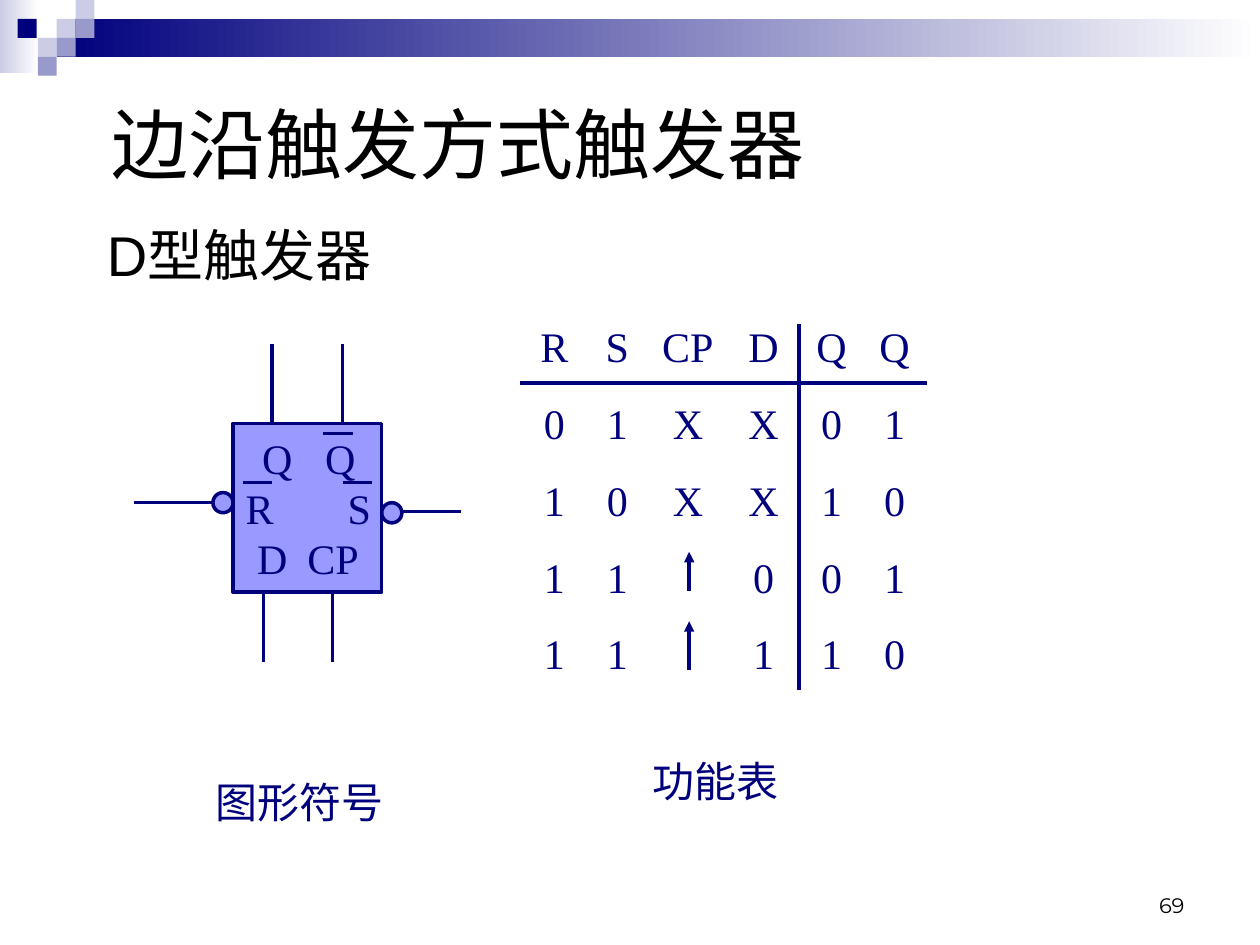
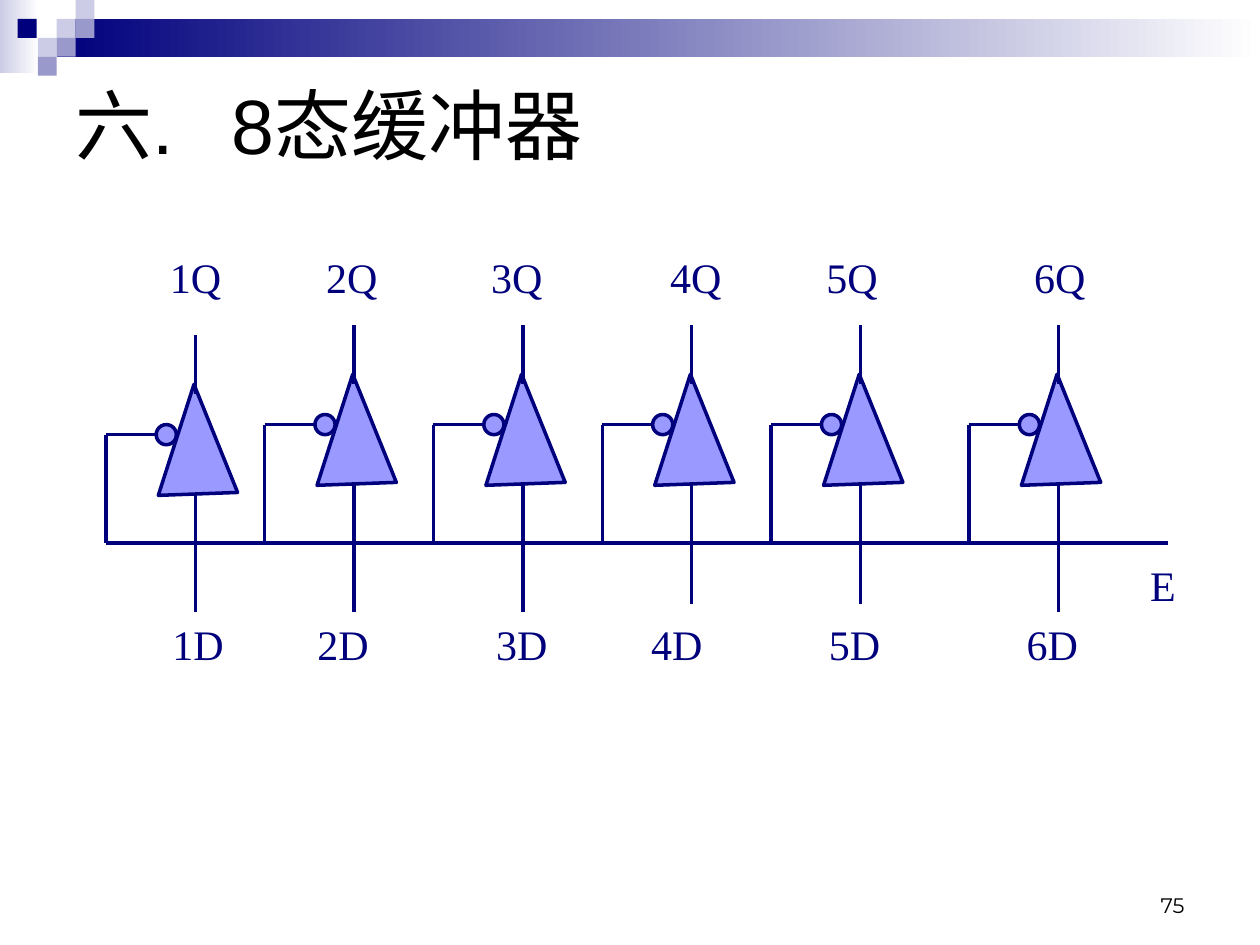
from dataclasses import dataclass

from lxml import etree
from pptx import Presentation
from pptx.dml.color import RGBColor
from pptx.enum import shapes, text
from pptx.oxml import ns
from pptx.util import Inches, Pt

NAVY, LILAC = "00007D", "9999FF"
PALE, MID, WHITE, BLACK = "CCCCE6", "9999CC", "FFFFFF", "000000"
SERIF, SANS, NUMBER_FONT = "Times New Roman", "Arial", "Montserrat"
RECTANGLE = shapes.MSO_SHAPE.RECTANGLE
OVAL = shapes.MSO_SHAPE.OVAL
MERGE = shapes.MSO_SHAPE.FLOWCHART_MERGE
LEFT, CENTER, RIGHT = text.PP_ALIGN.LEFT, text.PP_ALIGN.CENTER, text.PP_ALIGN.RIGHT
TOP, MIDDLE, BOTTOM = text.MSO_ANCHOR.TOP, text.MSO_ANCHOR.MIDDLE, text.MSO_ANCHOR.BOTTOM
BUBBLE = 0.16


@dataclass(frozen=True)
class Box:
    left: float
    top: float
    width: float
    height: float

    def lengths(self) -> list:
        return [Inches(v) for v in (self.left, self.top, self.width, self.height)]


@dataclass(frozen=True)
class Style:
    font: str = SERIF
    size: int = 24
    color: str = NAVY
    align: int = LEFT
    anchor: int = TOP


@dataclass(frozen=True)
class Line:
    x1: float
    y1: float
    x2: float
    y2: float
    arrow: bool = False


@dataclass(frozen=True)
class Buffer:
    x: float
    drop: float = 0
    input_end: float = 4.86


LABEL = Style()
TITLE = Style(SANS, 44, BLACK, anchor=MIDDLE)
SUBTITLE = Style(SANS, 32, BLACK)
PAGE_NUMBER = Style(NUMBER_FONT, 12, BLACK, RIGHT, BOTTOM)
PIN = Style(anchor=MIDDLE)
CELL = Style(align=CENTER, anchor=MIDDLE)

BANDS = [(Box(0, 0, 0.31, 0.58), PALE), (Box(0.45, 0.15, 9.55, 0.3), NAVY)]
SQUARES = [
    (0.45, 0.15, PALE), (0.6, 0, PALE), (0.6, 0.15, MID), (0.3, 0.3, PALE),
    (0.14, 0.15, NAVY), (0.45, 0.3, MID), (0.3, 0.45, MID),
]

PIN_ROWS = [("Q", 0.23, "Q", 0.73), ("R", 0.1, "S", 0.91), ("D", 0.19, "CP", 0.59)]
SYMBOL_LINES = [
    *[Line(x, 4.69, x, 5.25) for x in (2.09, 2.64)],
    *[Line(x, 2.73, x, 3.36) for x in (2.16, 2.72)],
    Line(1.06, 3.99, 1.69, 3.99),
    Line(3.19, 4.06, 3.66, 4.06),
    Line(2.56, 3.44, 2.8, 3.44),
    *[Line(x, 3.83, x + 0.23, 3.83) for x in (1.93, 2.72)],
]
FUNCTION_ROWS = [
    ("R", "S", "CP", "D", "Q", "Q"),
    ("0", "1", "X", "X", "0", "1"),
    ("1", "0", "X", "X", "1", "0"),
    ("1", "1", "", "0", "0", "1"),
    ("1", "1", "", "1", "1", "0"),
]
COLUMN_WIDTHS = [0.5, 0.5, 0.62, 0.58, 0.5, 0.5]
ROW_HEIGHT = 0.61
TABLE_LINES = [
    Line(5.47, 4.69, 5.47, 4.38, True),
    Line(5.47, 5.32, 5.47, 4.93, True),
    Line(4.13, 3.04, 7.36, 3.04),
    Line(6.34, 2.57, 6.34, 5.48),
]

BUS_Y = 4.31
BUFFERS = [
    Buffer(1.55, drop=0.08), Buffer(2.81), Buffer(4.15),
    Buffer(5.49, input_end=4.79), Buffer(6.83, input_end=4.79), Buffer(8.4),
]
INPUT_STOPS = [0.51, 1.66, 3.08, 4.31, 5.72, 7.29]
OUTPUT_STOPS = [0.17, 1.41, 2.72, 4.14, 5.38, 7.03]


def rgb(value: str) -> RGBColor:
    return RGBColor.from_string(value)


def add_stops(paragraph, stops: list[float]) -> None:
    tab_list = etree.SubElement(paragraph._p.get_or_add_pPr(), ns.qn("a:tabLst"))
    for stop in stops:
        etree.SubElement(tab_list, ns.qn("a:tab"), pos=str(Inches(stop)), algn="l")


def format_text(text_frame, style: Style) -> None:
    for paragraph in text_frame.paragraphs:
        paragraph.alignment = style.align
        for run in paragraph.runs:
            run.font.name = style.font
            run.font.size = Pt(style.size)
            run.font.color.rgb = rgb(style.color)


def add_text(slide, box: Box, content: str, style: Style, stops: list[float] | None = None) -> None:
    text_frame = slide.shapes.add_textbox(*box.lengths()).text_frame
    text_frame.word_wrap = True
    text_frame.vertical_anchor = style.anchor
    text_frame.text = content
    if stops:
        add_stops(text_frame.paragraphs[0], stops)
    format_text(text_frame, style)


def add_preset(slide, preset, box: Box, fill: str, outline: str | None = None):
    shape = slide.shapes.add_shape(preset, *box.lengths())
    shape.shadow.inherit = False
    shape.fill.solid()
    shape.fill.fore_color.rgb = rgb(fill)
    if outline:
        shape.line.color.rgb = rgb(outline)
        shape.line.width = Pt(2)
    else:
        shape.line.fill.background()
    return shape


def add_line(slide, line: Line) -> None:
    ends = [Inches(v) for v in (line.x1, line.y1, line.x2, line.y2)]
    connector = slide.shapes.add_connector(shapes.MSO_CONNECTOR.STRAIGHT, *ends)
    connector.line.color.rgb = rgb(NAVY)
    connector.line.width = Pt(2)
    if line.arrow:
        etree.SubElement(connector.line._get_or_add_ln(), ns.qn("a:tailEnd"), type="triangle")
    etree.SubElement(connector._element.spPr, ns.qn("a:effectLst"))


def add_bubble(slide, left: float, top: float) -> None:
    add_preset(slide, OVAL, Box(left, top, BUBBLE, BUBBLE), LILAC, NAVY)


def add_base_slide(presentation, title: str, title_box: Box, number: int, stops: list[float] | None = None):
    slide = presentation.slides.add_slide(presentation.slide_layouts[6])
    for box, color in BANDS:
        fill = add_preset(slide, RECTANGLE, box, color).fill
        fill.gradient()
        fill.gradient_angle = 0
        for stop, stop_color, position in zip(fill.gradient_stops, (color, WHITE), (0, 1)):
            stop.color.rgb = rgb(stop_color)
            stop.position = position
    for left, top, color in SQUARES:
        add_preset(slide, RECTANGLE, Box(left, top, 0.15, 0.15), color)
    add_text(slide, Box(7.17, 6.83, 2.33, 0.5), str(number), PAGE_NUMBER)
    add_text(slide, title_box, title, TITLE, stops)
    return slide


def add_symbol(slide) -> None:
    body = add_preset(slide, RECTANGLE, Box(1.85, 3.36, 1.18, 1.34), LILAC, NAVY)
    text_frame = body.text_frame
    text_frame.margin_left = text_frame.margin_right = 0
    text_frame.vertical_anchor = PIN.anchor
    text_frame.text = "\n".join(f"\t{first}\t{second}" for first, _, second, _ in PIN_ROWS)
    for paragraph, (_, first_stop, _, second_stop) in zip(text_frame.paragraphs, PIN_ROWS):
        add_stops(paragraph, [first_stop, second_stop])
    format_text(text_frame, PIN)
    add_bubble(slide, 1.69, 3.91)
    add_bubble(slide, 3.03, 3.99)
    for line in SYMBOL_LINES:
        add_line(slide, line)
    add_text(slide, Box(1.61, 6.11, 2.44, 0.5), "图形符号", LABEL)


def add_function_table(slide) -> None:
    box = Box(4.15, 2.46, sum(COLUMN_WIDTHS), ROW_HEIGHT * len(FUNCTION_ROWS))
    table = slide.shapes.add_table(len(FUNCTION_ROWS), len(COLUMN_WIDTHS), *box.lengths()).table
    table.first_row = table.horz_banding = False
    for column, width in zip(table.columns, COLUMN_WIDTHS):
        column.width = Inches(width)
    for row, values in zip(table.rows, FUNCTION_ROWS):
        row.height = Inches(ROW_HEIGHT)
        for cell, value in zip(row.cells, values):
            cell.fill.background()
            cell.margin_left = cell.margin_right = 0
            cell.vertical_anchor = CELL.anchor
            cell.text_frame.text = value
            format_text(cell.text_frame, CELL)
    for line in TABLE_LINES:
        add_line(slide, line)
    add_text(slide, Box(5.08, 5.95, 2.13, 0.5), "功能表", LABEL)


def add_buffer(slide, buffer: Buffer) -> None:
    x, drop = buffer.x, buffer.drop
    left, enable_x, enable_y = x - 0.31, x - 0.71, 3.37 + drop
    add_bubble(slide, left, 3.29 + drop)
    triangle = add_preset(slide, MERGE, Box(left, 2.97 + drop, 0.63, 0.87), LILAC, NAVY)
    triangle.rotation = 177.9
    add_line(slide, Line(enable_x, enable_y, left, enable_y))
    add_line(slide, Line(enable_x, enable_y, enable_x, BUS_Y))
    add_line(slide, Line(x, 2.58 + drop, x, 3.05 + drop))
    add_line(slide, Line(x, 3.84 + drop, x, buffer.input_end))


def add_flip_flop_slide(presentation) -> None:
    slide = add_base_slide(presentation, "边沿触发方式触发器", Box(0.79, 0.52, 8.43, 1.23), 69)
    add_text(slide, Box(0.75, 1.7, 3.23, 0.71), "D型触发器", SUBTITLE)
    add_symbol(slide)
    add_function_table(slide)


def add_buffer_slide(presentation) -> None:
    slide = add_base_slide(presentation, "六.\t8态缓冲器", Box(0.5, 0.5, 4.97, 0.97), 75, [1.24])
    for buffer in BUFFERS:
        add_buffer(slide, buffer)
    add_line(slide, Line(0.84, BUS_Y, 9.27, BUS_Y))
    numbers = range(1, len(BUFFERS) + 1)
    for box, letter, stops in (
        (Box(0.76, 4.86, 8.51, 0.5), "D", INPUT_STOPS),
        (Box(1.08, 1.95, 7.88, 0.5), "Q", OUTPUT_STOPS),
    ):
        add_text(slide, box, "".join(f"\t{number}{letter}" for number in numbers), LABEL, stops)
    add_text(slide, Box(9.03, 4.39, 0.63, 0.5), "E", LABEL)


def main() -> None:
    presentation = Presentation()
    presentation.slide_width = Inches(10)
    presentation.slide_height = Inches(7.5)
    add_flip_flop_slide(presentation)
    add_buffer_slide(presentation)
    presentation.save("out.pptx")


if __name__ == "__main__":
    main()
